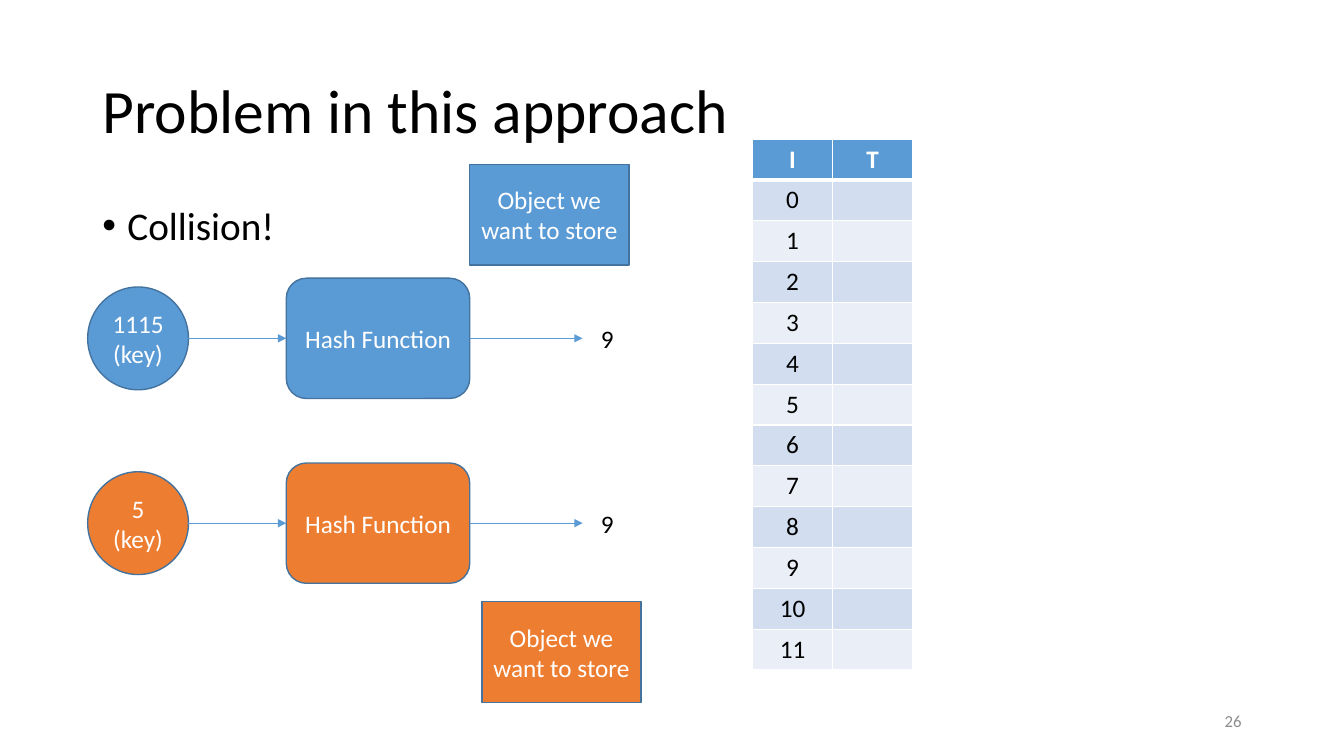
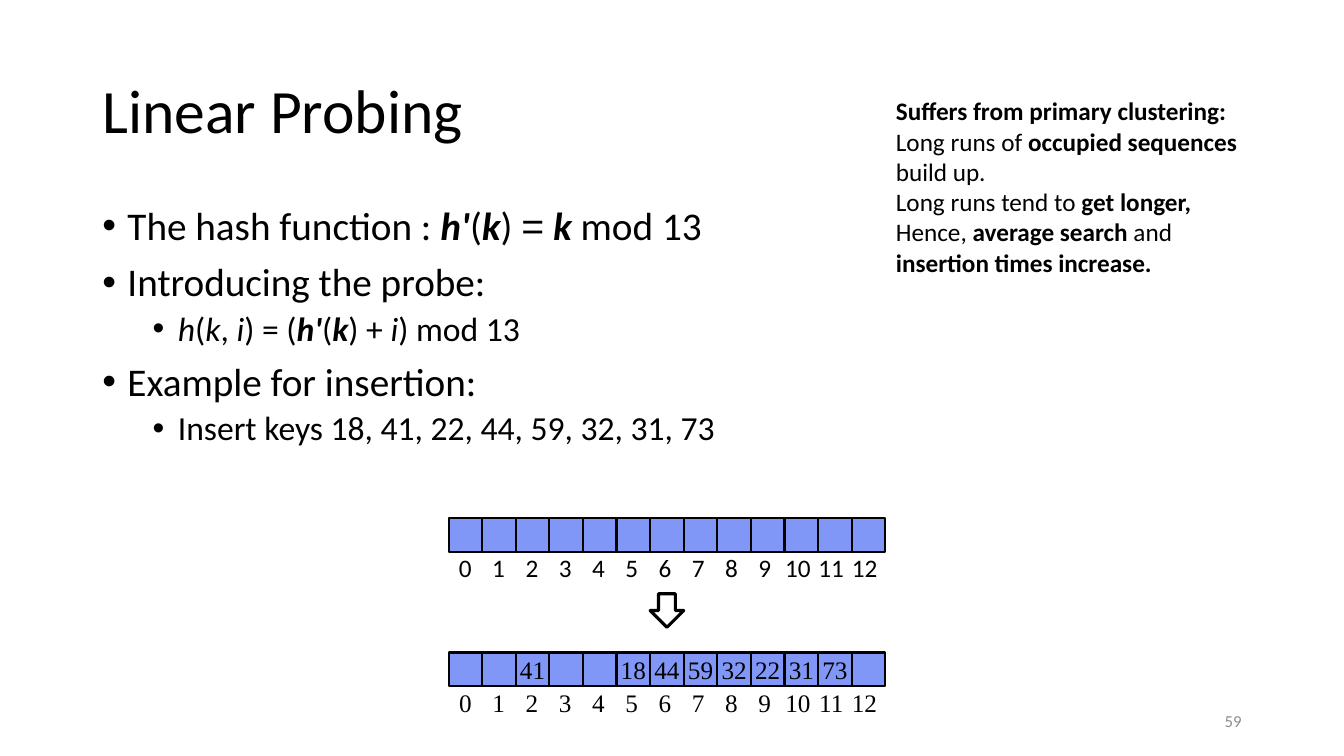
from lxml.etree import SubElement
from pptx import Presentation
from pptx.dml.color import RGBColor
from pptx.enum.shapes import MSO_CONNECTOR as LINE, MSO_SHAPE as SHAPE
from pptx.enum.text import MSO_ANCHOR as ANCHOR, MSO_AUTO_SIZE as FIT, PP_ALIGN as ALIGN
from pptx.oxml.ns import qn
from pptx.util import Inches, Pt

COLORS = {
    "text": "000000", "white": "FFFFFF", "page": "8C8C8C",
    "blue": "5B9BD5", "orange": "ED7D31", "edge": "43739E",
    "band_dark": "D2DEEF", "band_light": "EAEFF7", "slot": "8097F8",
}
COLS, ROWS = 40, 22.5            # grid of the slide
UNIT = Inches(1) // 3            # one column or row
MARGIN, CONTENT = 2.75, 34.5     # left edge and width of the content, in columns
SERIF = "Times New Roman"


def rgb(name):
    return RGBColor.from_string(COLORS[name])


class Deck:
    """Shared style and the current slide; lengths are grid columns and rows."""

    def __init__(self):
        self.prs = Presentation()
        self.prs.slide_width = int(COLS * UNIT)
        self.prs.slide_height = int(ROWS * UNIT)
        self.s = None

    @staticmethod
    def grid(*lengths):
        return [round(n * UNIT) for n in lengths]

    def slide(self, title, page):
        self.s = self.prs.slides.add_slide(self.prs.slide_layouts[6])
        tf = self.box(MARGIN, 1.2, CONTENT, 4.35, ANCHOR.MIDDLE)
        self.add_runs(tf.paragraphs[0], title, 44).line_spacing = 0.9
        tf = self.box(28.25, 20.85, 9, 1.2, ANCHOR.MIDDLE)
        self.add_runs(tf.paragraphs[0], str(page), 12, "page", align=ALIGN.RIGHT)

    def box(self, x, y, w, h, anchor=ANCHOR.TOP, wrap=True):
        tf = self.s.shapes.add_textbox(*self.grid(x, y, w, h)).text_frame
        tf.word_wrap = wrap
        tf.vertical_anchor = anchor
        return tf

    def add_runs(self, p, runs, size=18, color="text", font="Calibri", align=None):
        """Fill p; runs is a string or (text, style) pairs, style from b, i, a (Arial)."""
        p.alignment = align
        for text, style in [(runs, "")] if isinstance(runs, str) else runs:
            r = p.add_run()
            r.text = text
            r.font.size = Pt(size)
            r.font.name = "Arial" if "a" in style else font
            r.font.color.rgb = rgb(color)
            r.font.bold = "b" in style
            r.font.italic = "i" in style
        return p

    def paragraphs(self, tf, items):
        """Yield a paragraph of tf for each item."""
        for n, item in enumerate(items):
            yield (tf.add_paragraph() if n else tf.paragraphs[0]), item

    def bullets(self, items):
        tf = self.box(MARGIN, 6, CONTENT, 14.28)
        for p, (level, runs) in self.paragraphs(tf, items):
            self.add_runs(p, runs, 24 if level else 28)
            p.level = level
            p.line_spacing = 0.9
            p.space_before = Pt(5 if level else 10)
            props = p._p.get_or_add_pPr()
            props.set("marL", str(Inches(0.25 + 0.5 * level)))
            props.set("indent", str(-Inches(0.25)))
            SubElement(props, qn("a:buFont"), typeface="Arial")
            SubElement(props, qn("a:buChar"), char="•")

    def note(self, x, y, w, h, lines):
        tf = self.box(x, y, w, h)
        for p, runs in self.paragraphs(tf, lines):
            self.add_runs(p, runs)

    def label(self, center, y, text, font="Calibri"):
        w = 1 if len(text) == 1 else 1.35
        tf = self.box(center - w / 2, y, w, 1.2, wrap=False)
        tf.auto_size = FIT.SHAPE_TO_FIT_TEXT
        self.add_runs(tf.paragraphs[0], text, font=font, align=ALIGN.CENTER)

    def shape(self, kind, x, y, w, h, fill=None, edge="edge", width=1,
              text="", color="white", font="Calibri", wrap=True):
        sp = self.s.shapes.add_shape(kind, *self.grid(x, y, w, h))
        sp.shadow.inherit = False
        if fill:
            sp.fill.solid()
            sp.fill.fore_color.rgb = rgb(fill)
        else:
            sp.fill.background()
        sp.line.color.rgb = rgb(edge)
        sp.line.width = Pt(width)
        if text:
            tf = sp.text_frame
            tf.word_wrap = wrap
            tf.vertical_anchor = ANCHOR.MIDDLE
            self.add_runs(tf.paragraphs[0], text, color=color, font=font, align=ALIGN.CENTER)

    def arrow(self, x1, x2, y):
        cxn = self.s.shapes.add_connector(LINE.STRAIGHT, *self.grid(x1, y, x2, y))
        cxn.line.color.rgb = rgb("blue")
        cxn.line.width = Pt(0.5)
        props = cxn._element.spPr
        SubElement(props.find(qn("a:ln")), qn("a:tailEnd"), type="triangle")
        SubElement(props, qn("a:effectLst"))

    def cell(self, cell, text, fill, header):
        props = cell._tc.get_or_add_tcPr()
        for side in "LRTB":
            width = Pt(3 if header and side == "B" else 1)
            ln = SubElement(props, qn(f"a:ln{side}"), w=str(width))
            SubElement(SubElement(ln, qn("a:solidFill")), qn("a:srgbClr"), val=COLORS["white"])
        cell.fill.solid()
        cell.fill.fore_color.rgb = rgb(fill)
        if text:
            self.add_runs(cell.text_frame.paragraphs[0], [(text, "b" if header else "")],
                          color="white" if header else "text", align=ALIGN.CENTER)

    def table(self, x, y, w, h, rows):
        n_rows, n_cols = len(rows), len(rows[0])
        frame = self.s.shapes.add_table(n_rows, n_cols, *self.grid(x, y, w, h))
        for i, row in enumerate(rows):
            fill = "blue" if i == 0 else "band_dark" if i % 2 else "band_light"
            for j, text in enumerate(row):
                self.cell(frame.table.cell(i, j), text, fill, i == 0)

    # Parts of the hashing diagrams
    def hash_flow(self, y, key, result, fill):
        """Key, hash function and slot number in a line centred on row y."""
        self.shape(SHAPE.OVAL, 2.61, y - 1.53, 3, 3.06, fill, text=f"{key} (key)")
        self.shape(SHAPE.ROUNDED_RECTANGLE, 8.52, y - 1.79, 5.46, 3.58, fill,
                   text="Hash Function")
        self.arrow(5.61, 8.52, y)
        self.arrow(13.98, 17.34, y)
        self.label(18.07, y - 0.6, result)

    def stored_object(self, x, y, fill):
        self.shape(SHAPE.RECTANGLE, x, y, 4.74, 3, fill, text="Object we want to store")

    def hash_table(self, y, size, keys, font):
        """A row of slots with their indexes; keys maps index to key."""
        x = 13.35
        for i in range(size):
            self.shape(SHAPE.RECTANGLE, x + i, y, 1, 1, "slot", "text", 1.5,
                       str(keys.get(i, "")), "text", SERIF, wrap=False)
            self.label(x + 0.5 + 0.99 * i, y + 0.88, str(i), font)


def collision(deck):
    deck.slide("Problem in this approach", 26)
    deck.bullets([(0, "Collision!")])
    deck.table(22.4, 4.14, 4.76, 15.81, [("I", "T")] + [(str(i), "") for i in range(12)])
    deck.hash_flow(10.07, "1115", "9", "blue")
    deck.hash_flow(15.57, "5", "9", "orange")
    deck.stored_object(13.98, 4.89, "blue")
    deck.stored_object(14.34, 17.91, "orange")


def linear_probing(deck):
    deck.slide("Linear Probing", 59)
    deck.bullets([
        (0, [("The hash function : ", ""), ("h'", "bi"), ("(", ""), ("k", "bi"), (") ", ""),
             ("=", "a"), (" k ", "bi"), ("mod 13", "")]),
        (0, "Introducing the probe:"),
        (1, [("h", "i"), ("(", ""), ("k", "i"), (", ", ""), ("i", "i"), (") = (", ""),
             ("h'", "bi"), ("(", ""), ("k", "bi"), (") + ", ""), ("i", "i"), (") mod 13", "")]),
        (0, "Example for insertion:"),
        (1, "Insert keys 18, 41, 22, 44, 59, 32, 31, 73"),
    ])
    # Table before and after the insertions
    deck.hash_table(15.42, 13, {}, "Calibri")
    deck.shape(SHAPE.DOWN_ARROW, 19.35, 17.67, 1, 1, edge="text", width=2.25)
    keys = {2: 41, 5: 18, 6: 44, 7: 59, 8: 32, 9: 22, 10: 31, 11: 73}
    deck.hash_table(19.42, 13, keys, SERIF)
    # Drawback
    deck.note(26.37, 2.7, 10.89, 5.76, [
        [("Suffers from primary clustering:", "b")],
        [("Long runs of ", ""), ("occupied sequences ", "b"), ("build up.", "")],
        [("Long runs tend to ", ""), ("get longer,", "b")],
        [("Hence, ", ""), ("average search", "b"), (" and ", ""),
         ("insertion times increase.", "b")],
    ])


def main():
    deck = Deck()
    collision(deck)
    linear_probing(deck)
    deck.prs.save("out.pptx")


if __name__ == "__main__":
    main()
